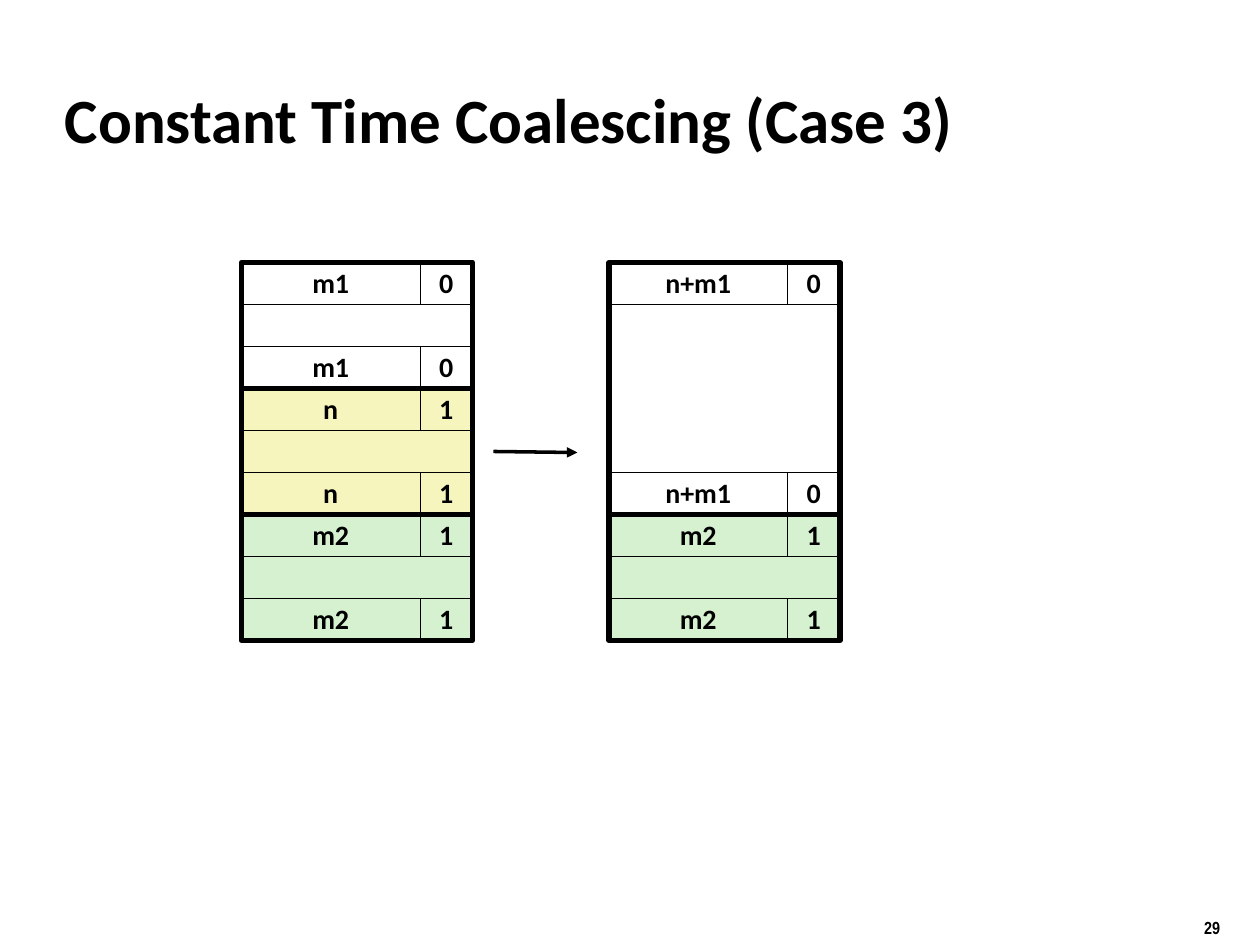
import pptx
import pptx.dml.color
import pptx.enum.shapes
import pptx.enum.text
import pptx.oxml
import pptx.util

RGBColor = pptx.dml.color.RGBColor
PP_ALIGN = pptx.enum.text.PP_ALIGN
ANCHOR = pptx.enum.text.MSO_ANCHOR

BLACK = RGBColor(0x00, 0x00, 0x00)
WHITE = RGBColor(0xFF, 0xFF, 0xFF)
YELLOW = RGBColor(0xF6, 0xF5, 0xBD)
GREEN = RGBColor(0xD5, 0xF1, 0xCF)

# The grid has twelve columns to the inch; one memory word is four units high.
UNIT = pptx.util.Inches(1) // 12
WORD_HEIGHT = 4
SIZE_WIDTH = 17
FLAG_WIDTH = 5
BLOCK_WIDTH = SIZE_WIDTH + FLAG_WIDTH
HEAP_TOP = 25
BEFORE_LEFT = 23
AFTER_LEFT = 58

# Each block: size label, allocated flag, fill, height in words.
BEFORE = [("m1", "0", WHITE, 3), ("n", "1", YELLOW, 3), ("m2", "1", GREEN, 3)]
AFTER = [("n+m1", "0", WHITE, 6), ("m2", "1", GREEN, 3)]


def grid(*units):
    return [round(unit * UNIT) for unit in units]


def write(shape, text, size=16, font="Calibri", align=PP_ALIGN.CENTER,
          anchor=ANCHOR.MIDDLE, wrap=False, spacing=None):
    frame = shape.text_frame
    frame.word_wrap = wrap
    frame.vertical_anchor = anchor
    paragraph = frame.paragraphs[0]
    paragraph.alignment = align
    paragraph.line_spacing = spacing
    run = paragraph.add_run()
    run.text = text
    run.font.size = pptx.util.Pt(size)
    run.font.name = font
    run.font.bold = True
    run.font.color.rgb = BLACK


def add_box(slide, left, top, width, height, fill=None, line=0.25):
    box = slide.shapes.add_shape(
        pptx.enum.shapes.MSO_SHAPE.RECTANGLE, *grid(left, top, width, height))
    box.shadow.inherit = False
    if fill is None:
        box.fill.background()
    else:
        box.fill.solid()
        box.fill.fore_color.rgb = fill
    box.line.color.rgb = BLACK
    box.line.width = pptx.util.Pt(line)
    return box


def add_tag(slide, left, top, size, flag, fill):
    """Draw a header or footer word: block size and allocated flag."""
    size_box = add_box(slide, left, top, SIZE_WIDTH, WORD_HEIGHT, fill)
    write(size_box, size, spacing=0.98)
    flag_box = add_box(slide, left + SIZE_WIDTH, top, FLAG_WIDTH, WORD_HEIGHT, fill)
    write(flag_box, flag, spacing=0.98)


def add_block(slide, left, top, size, flag, fill, words):
    height = words * WORD_HEIGHT
    add_tag(slide, left, top, size, flag, fill)
    add_box(slide, left, top + WORD_HEIGHT, BLOCK_WIDTH,
            height - 2 * WORD_HEIGHT, fill)
    add_tag(slide, left, top + height - WORD_HEIGHT, size, flag, fill)
    add_box(slide, left, top, BLOCK_WIDTH, height, line=3)


def add_heap(slide, left, blocks):
    top = HEAP_TOP
    for size, flag, fill, words in blocks:
        add_block(slide, left, top, size, flag, fill, words)
        top += words * WORD_HEIGHT


def add_arrow(slide, start, end):
    arrow = slide.shapes.add_connector(
        pptx.enum.shapes.MSO_CONNECTOR.STRAIGHT, *grid(*start, *end))
    arrow.line.color.rgb = BLACK
    arrow.line.width = pptx.util.Pt(2)
    namespace = pptx.oxml.ns.nsdecls("a")
    arrow.line._get_or_add_ln().append(
        pptx.oxml.parse_xml(f'<a:tailEnd {namespace} type="triangle"/>'))
    arrow._element.spPr.append(
        pptx.oxml.parse_xml(f"<a:effectLst {namespace}/>"))


def add_label(slide, text, left, top, width, height, **text_format):
    label = slide.shapes.add_textbox(*grid(left, top, width, height))
    write(label, text, align=PP_ALIGN.LEFT, wrap=True, **text_format)


def main():
    presentation = pptx.Presentation()
    presentation.slide_width = pptx.util.Inches(10)
    presentation.slide_height = pptx.util.Inches(7.5)
    slide = presentation.slides.add_slide(presentation.slide_layouts[6])

    add_label(slide, "29", 113.5, 86.75, 8.9, 3.1,
              size=10, font="Arial Narrow", anchor=ANCHOR.TOP)
    add_label(slide, "Constant Time Coalescing (Case 3)", 5, 7.5, 110, 7.5, size=36)
    add_heap(slide, BEFORE_LEFT, BEFORE)
    add_heap(slide, AFTER_LEFT, AFTER)
    add_arrow(slide, (47, 43), (55, 43.1))

    presentation.save("out.pptx")


if __name__ == "__main__":
    main()
